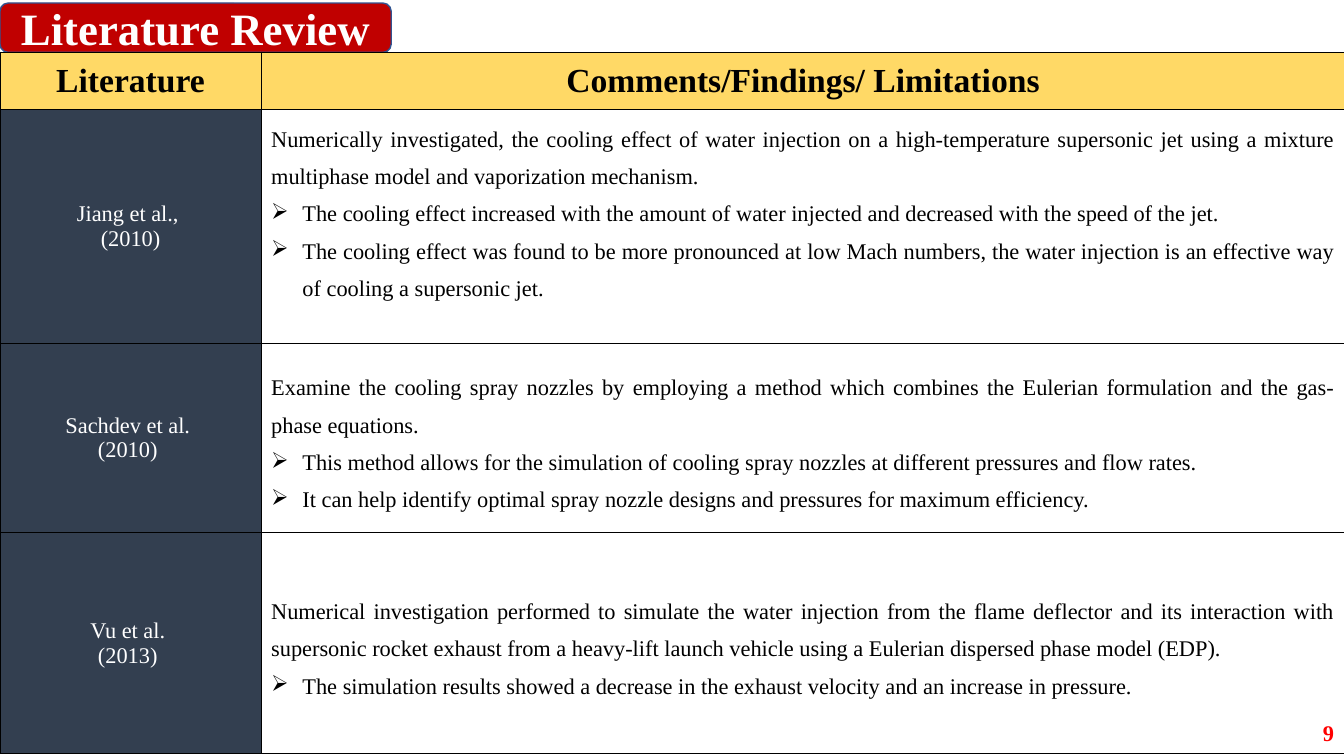
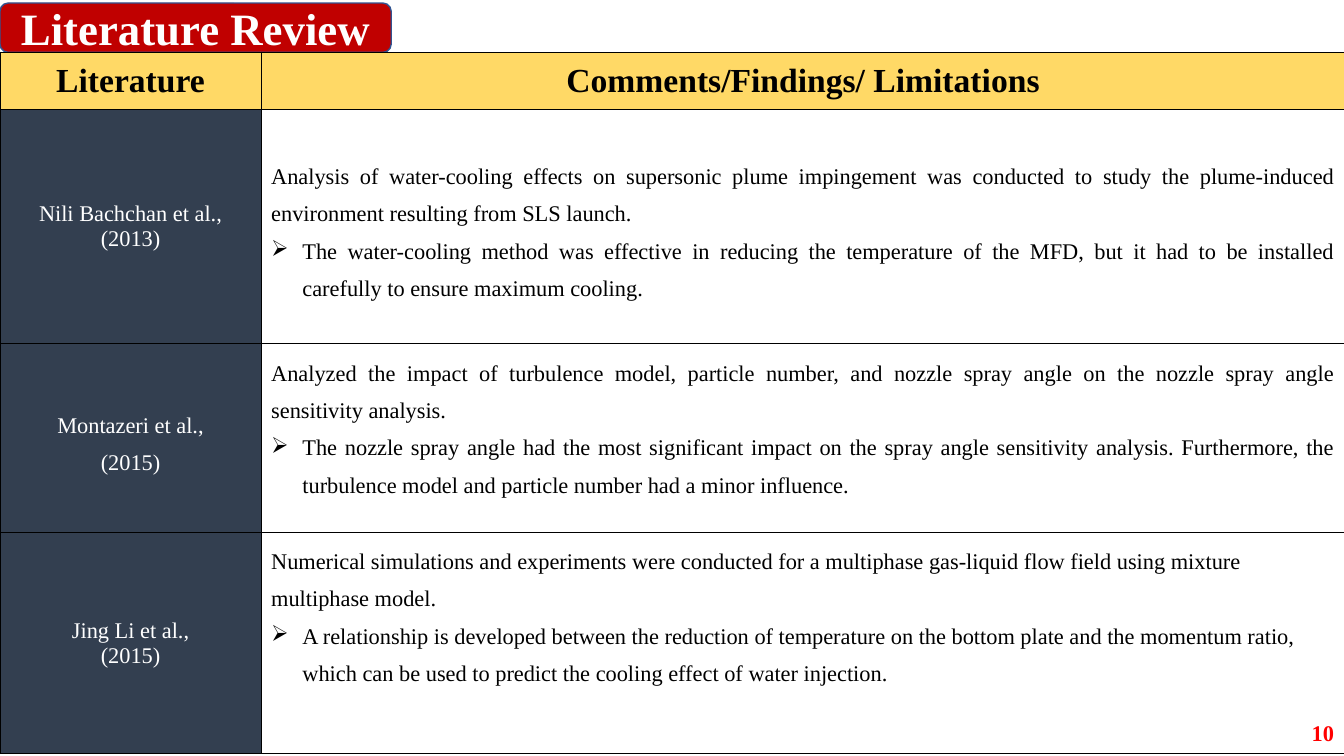
import pptx
import pptx.util
import pptx.dml.color
import pptx.enum.shapes
import pptx.enum.text
import pptx.oxml
import pptx.oxml.ns

Inches = pptx.util.Inches
Pt = pptx.util.Pt
ALIGN = pptx.enum.text.PP_ALIGN
ANCHOR = pptx.enum.text.MSO_ANCHOR

# Shared look
FONT = "Times New Roman"
RED, GOLD, NAVY = "C00000", "FFD966", "333F50"
WHITE, BLACK, TITLE_LINE, NUMBER_RED = "FFFFFF", "000000", "325491", "FF0000"
COL_WIDTHS = [2.59, 10.75]
ROW_HEIGHTS = [0.57, 2.32, 1.87, 2.2]
HEADERS = ["Literature", "Comments/Findings/ Limitations"]
INDENT = 0.31

# Per slide: page number, rows of (authors, author spacing, anchor, alignment, summary, findings)
SLIDES = [
    (9, [
        (["Jiang et al., ", "(2010)"], 1.0, ANCHOR.TOP, ALIGN.JUSTIFY,
         "Numerically investigated, the cooling effect of water injection on a high-temperature "
         "supersonic jet using a mixture multiphase model and vaporization mechanism.",
         ["The cooling effect increased with the amount of water injected and decreased with "
          "the speed of the jet.",
          "The cooling effect was found to be more pronounced at low Mach numbers, the water "
          "injection is an effective way of cooling a supersonic jet."]),
        (["Sachdev et al. ", "(2010) "], 1.0, ANCHOR.MIDDLE, ALIGN.JUSTIFY,
         "Examine the cooling spray nozzles by employing a method which combines the Eulerian "
         "formulation and the gas-phase equations.",
         ["This method allows for the simulation of cooling spray nozzles at different "
          "pressures and flow rates.",
          "It can help identify optimal spray nozzle designs and pressures for maximum "
          "efficiency."]),
        (["Vu et al. ", "(2013) "], 1.0, ANCHOR.MIDDLE, ALIGN.JUSTIFY,
         "Numerical investigation performed to simulate the water injection from the flame "
         "deflector and its interaction with supersonic rocket exhaust from a heavy-lift launch "
         "vehicle using a Eulerian dispersed phase model (EDP).",
         ["The simulation results showed a decrease in the exhaust velocity and an increase in "
          "pressure."]),
    ]),
    (10, [
        (["Nili Bachchan et al.,", "(2013)"], 1.0, ANCHOR.MIDDLE, ALIGN.JUSTIFY,
         "Analysis of water-cooling effects on supersonic plume impingement was conducted to "
         "study the plume-induced environment resulting from SLS launch.",
         ["The water-cooling method was effective in reducing the temperature of the MFD, but it "
          "had to be installed carefully to ensure maximum cooling."]),
        (["Montazeri et al.,", "(2015)"], 1.5, ANCHOR.TOP, ALIGN.JUSTIFY,
         "Analyzed the impact of turbulence model, particle number, and nozzle spray angle on "
         "the nozzle spray angle sensitivity analysis.",
         ["The nozzle spray angle had the most significant impact on the spray angle sensitivity "
          "analysis. Furthermore, the turbulence model and particle number had a minor "
          "influence."]),
        (["Jing Li et al.,", "(2015)"], 1.0, ANCHOR.TOP, ALIGN.LEFT,
         "Numerical simulations and experiments were conducted for a multiphase gas-liquid flow "
         "field using mixture multiphase model.",
         ["A relationship is developed between the reduction of temperature on the bottom plate "
          "and the momentum ratio, which can be used to predict the cooling effect of water "
          "injection."]),
    ]),
]


def rgb(value):
    return pptx.dml.color.RGBColor.from_string(value)


def write(tf, lines, size, color, bold, align, spacing=1.0):
    tf.text = "\n".join(lines)
    for p in tf.paragraphs:
        p.alignment = align
        p.line_spacing = spacing
        for r in p.runs:
            r.font.name, r.font.size, r.font.bold = FONT, Pt(size), bold
            r.font.color.rgb = rgb(color)


prs = pptx.Presentation()
prs.slide_width, prs.slide_height = Inches(13.33), Inches(7.5)

for number, studies in SLIDES:
    s = prs.slides.add_slide(prs.slide_layouts[6])

    # Title tab
    sp = s.shapes.add_shape(pptx.enum.shapes.MSO_SHAPE.ROUNDED_RECTANGLE,
                            Inches(0), Inches(0.03), Inches(3.88), Inches(0.49))
    sp.shadow.inherit = False
    sp.fill.solid()
    sp.fill.fore_color.rgb = rgb(RED)
    sp.line.color.rgb = rgb(TITLE_LINE)
    sp.line.width = Pt(1)
    sp.text_frame.vertical_anchor = ANCHOR.MIDDLE
    write(sp.text_frame, ["Literature Review"], 32, WHITE, True, ALIGN.CENTER)

    # Table grid
    tbl = s.shapes.add_table(len(ROW_HEIGHTS), len(COL_WIDTHS), Inches(0), Inches(0.52),
                             Inches(13.33), Inches(sum(ROW_HEIGHTS))).table
    tbl.horz_banding = False
    for col, width in zip(tbl.columns, COL_WIDTHS):
        col.width = Inches(width)
    for row, height in zip(tbl.rows, ROW_HEIGHTS):
        row.height = Inches(height)

    # Cell borders, fills and margins
    for i, row in enumerate(tbl.rows):
        for j, cell in enumerate(row.cells):
            tcPr = cell._tc.get_or_add_tcPr()
            for side in ("lnL", "lnR", "lnT", "lnB"):
                tcPr.append(pptx.oxml.parse_xml(
                    f'<a:{side} {pptx.oxml.ns.nsdecls("a")} w="{Pt(1)}"><a:solidFill>'
                    f'<a:srgbClr val="{BLACK}"/></a:solidFill></a:{side}>'))
            cell.fill.solid()
            cell.fill.fore_color.rgb = rgb(GOLD if i == 0 else (NAVY, WHITE)[j])
            cell.vertical_anchor = ANCHOR.MIDDLE
            if j == 0:
                cell.margin_left = cell.margin_right = Inches(0.07)
                cell.margin_top = cell.margin_bottom = Inches(0.04)

    # Header row
    for j, header in enumerate(HEADERS):
        write(tbl.cell(0, j).text_frame, [header], 24, BLACK, True, ALIGN.CENTER)

    # Study rows
    for i, (authors, spacing, anchor, align, summary, findings) in enumerate(studies, 1):
        write(tbl.cell(i, 0).text_frame, authors, 16, WHITE, False, ALIGN.CENTER, spacing)
        cell = tbl.cell(i, 1)
        cell.vertical_anchor = anchor
        write(cell.text_frame, [summary] + findings, 16, BLACK, False, align, 1.5)
        for p in cell.text_frame.paragraphs[1:]:
            pPr = p._p.get_or_add_pPr()
            pPr.set("marL", str(Inches(INDENT)))
            pPr.set("indent", str(-Inches(INDENT)))
            pPr.append(pptx.oxml.parse_xml(
                f'<a:buChar {pptx.oxml.ns.nsdecls("a")} char="➢"/>'))

    # Page number
    tf = s.shapes.add_textbox(Inches(10.33), Inches(7.07), Inches(3), Inches(0.4)).text_frame
    tf.word_wrap = True
    tf.vertical_anchor = ANCHOR.MIDDLE
    write(tf, [str(number)], 16, NUMBER_RED, True, ALIGN.RIGHT)

prs.save("out.pptx")
